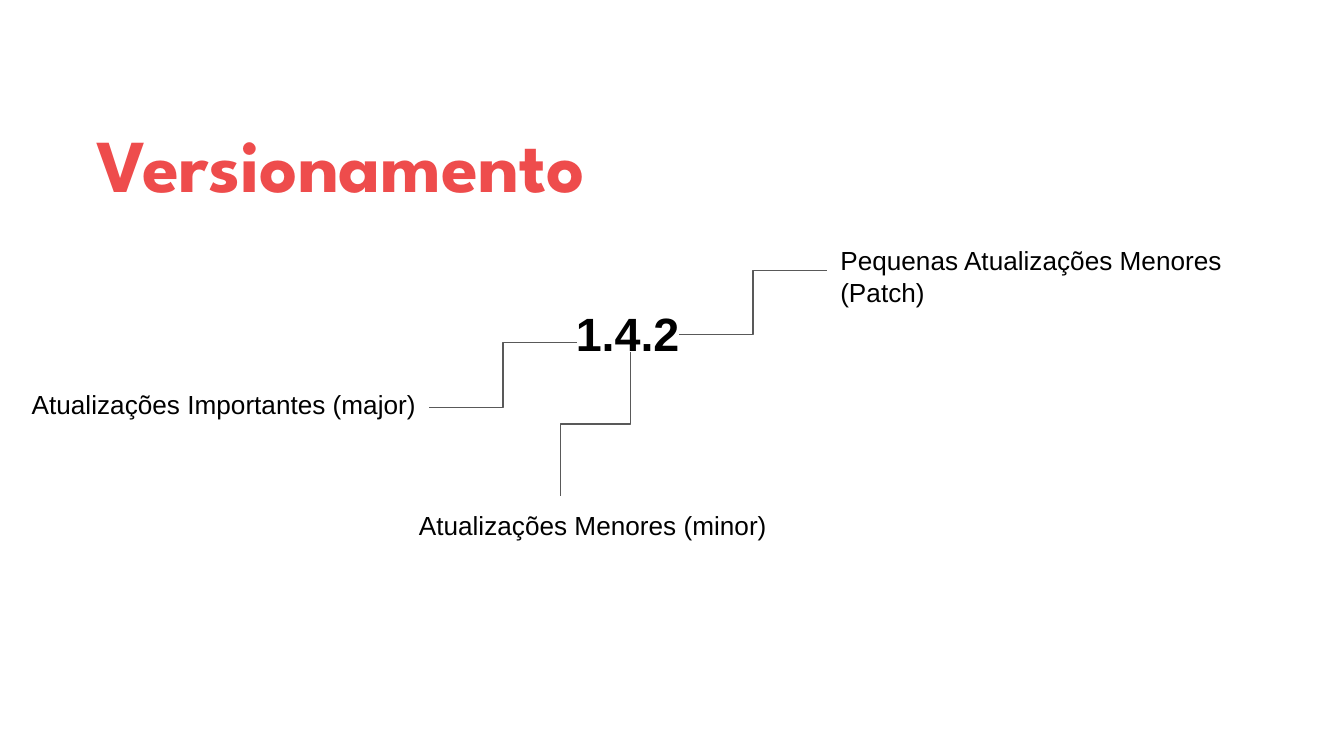
"""Builds a slide that explains the three parts of a version number."""
from dataclasses import dataclass

from pptx import Presentation
from pptx import util as u
from pptx.dml.color import RGBColor
from pptx.enum import shapes, text
from pptx.oxml.ns import qn
from lxml import etree

CORAL = RGBColor(0xEE, 0x4C, 0x4C)
BLACK = RGBColor(0, 0, 0)
GREY = RGBColor(0x59, 0x59, 0x59)
WHITE = RGBColor(0xFF, 0xFF, 0xFF)
WIDTH = u.Inches(10)
HEIGHT = WIDTH * 9 // 16
ALIGN = text.PP_ALIGN


@dataclass(frozen=True)
class Label:
    """Text in a box given in percent of the slide's width and height."""
    words: str
    left: float
    top: float
    width: float
    height: float
    align: ALIGN = ALIGN.LEFT
    size: int = 14
    bold: bool = False
    font: str = "Arial"
    color: RGBColor = BLACK
    anchor: text.MSO_ANCHOR = text.MSO_ANCHOR.TOP
    spacing: float = 1.0


@dataclass(frozen=True)
class Elbow:
    """Stepped line between two points in percent of the slide's size."""
    x1: float
    y1: float
    x2: float
    y2: float
    upright: bool = False


TITLE = Label("Versionamento", 6.2, 12.44, 81, 16.36, size=40, bold=True,
              font="League Spartan", color=CORAL,
              anchor=text.MSO_ANCHOR.MIDDLE, spacing=1.15)
LABELS = [
    Label("1.4.2", 36.4, 38.58, 20.6, 11.02, ALIGN.CENTER, 25, True),
    Label("Atualizações Importantes (major)", 1.05, 49.6, 30.9, 7.82, ALIGN.RIGHT),
    Label("Atualizações Menores (minor)", 27.15, 65.6, 30.9, 7.82, ALIGN.RIGHT),
    Label("Pequenas Atualizações Menores (Patch)", 61.54, 30.58, 30.9, 11.91),
]
ELBOWS = [
    Elbow(42.94, 45.33, 31.94, 53.87),
    Elbow(46.9, 46.6, 41.7, 65.62, upright=True),
    Elbow(61.54, 35.75, 50.54, 44.29),
]


def across(share: float) -> int:
    """Turn a percentage of the slide's width into a length."""
    return round(WIDTH * share / 100)


def down(share: float) -> int:
    """Turn a percentage of the slide's height into a length."""
    return round(HEIGHT * share / 100)


def apply(target: object, values: dict) -> None:
    """Set each named attribute on the target."""
    for name, value in values.items():
        setattr(target, name, value)


def write_label(sp, label: Label) -> None:
    """Place a text shape and fill it with the label's formatted words."""
    apply(sp, {"left": across(label.left), "top": down(label.top),
               "width": across(label.width), "height": down(label.height)})
    tf = sp.text_frame
    inset = u.Inches(0.1)
    apply(tf, {"word_wrap": True, "auto_size": text.MSO_AUTO_SIZE.NONE,
               "vertical_anchor": label.anchor,
               "margin_left": inset, "margin_right": inset,
               "margin_top": inset, "margin_bottom": inset})
    p = tf.paragraphs[0]
    apply(p, {"alignment": label.align, "line_spacing": label.spacing})
    r = p.add_run()
    r.text = label.words
    apply(r.font, {"name": label.font, "size": u.Pt(label.size), "bold": label.bold})
    r.font.color.rgb = label.color


def draw_elbow(s, elbow: Elbow) -> None:
    """Draw a stepped line, turned a quarter when its ends are upright."""
    x1, x2 = across(elbow.x1), across(elbow.x2)
    y1, y2 = down(elbow.y1), down(elbow.y2)
    if elbow.upright:
        cx, cy = (x1 + x2) // 2, (y1 + y2) // 2
        half_w, half_h = abs(y2 - y1) // 2, abs(x2 - x1) // 2
        x1, y1, x2, y2 = cx - half_w, cy - half_h, cx + half_w, cy + half_h
    line = s.shapes.add_connector(shapes.MSO_CONNECTOR.ELBOW, x1, y1, x2, y2)
    line.line.color.rgb = GREY
    line.line.width = u.Pt(0.75)
    props = line._element.spPr
    etree.SubElement(props, qn("a:effectLst"))
    if elbow.upright:
        props.find(qn("a:xfrm")).set("rot", str(90 * 60000))


def main() -> None:
    """Build and save the presentation."""
    prs = Presentation()
    apply(prs, {"slide_width": WIDTH, "slide_height": HEIGHT})
    s = prs.slides.add_slide(prs.slide_layouts[5])
    s.background.fill.solid()
    s.background.fill.fore_color.rgb = WHITE
    write_label(s.shapes.title, TITLE)
    for label in LABELS:
        write_label(s.shapes.add_textbox(0, 0, 0, 0), label)
    for elbow in ELBOWS:
        draw_elbow(s, elbow)
    prs.save("out.pptx")


if __name__ == "__main__":
    main()
